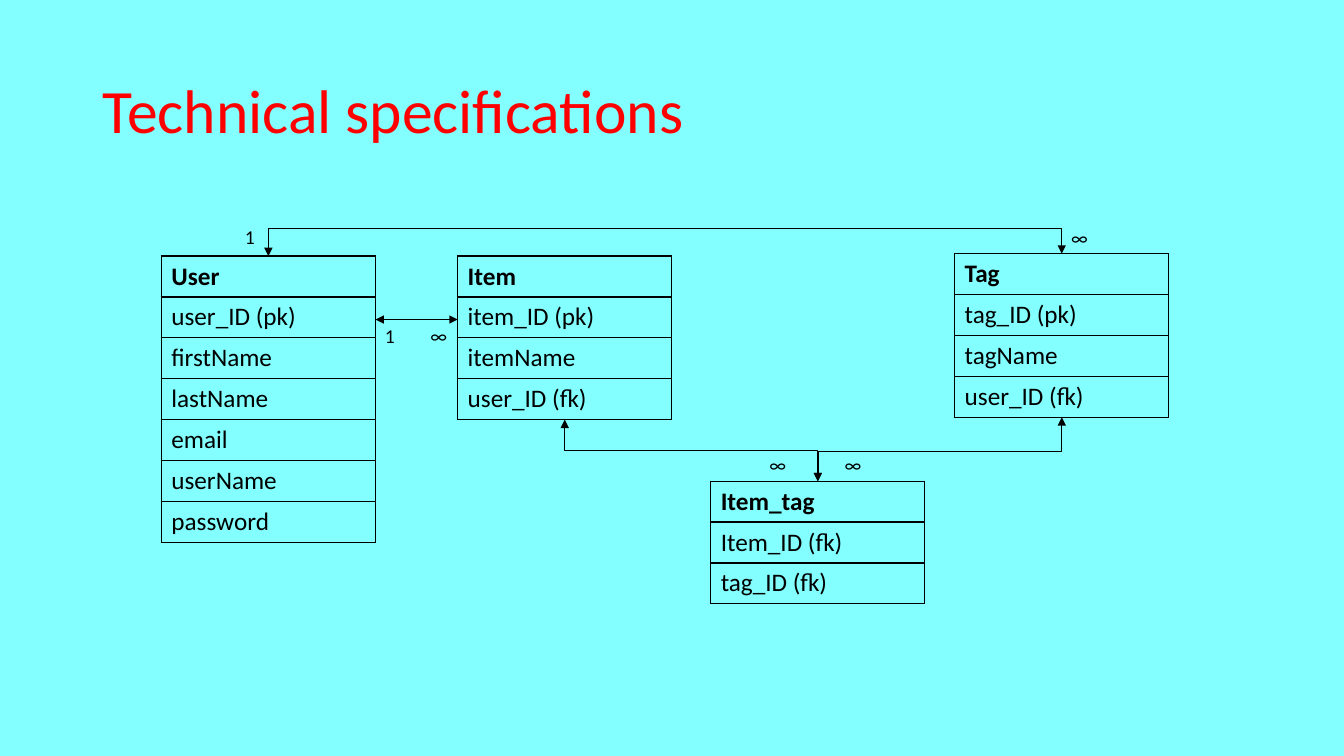
from dataclasses import dataclass

from lxml import etree
from pptx import Presentation
from pptx.dml.color import RGBColor
from pptx.enum.shapes import MSO_CONNECTOR
from pptx.enum.text import MSO_ANCHOR, MSO_AUTO_SIZE, PP_ALIGN
from pptx.oxml.ns import qn
from pptx.util import Inches, Pt

STRAIGHT, ELBOW = MSO_CONNECTOR.STRAIGHT, MSO_CONNECTOR.ELBOW
MIDDLE, LEFT = MSO_ANCHOR.MIDDLE, PP_ALIGN.LEFT
FIXED, GROW = MSO_AUTO_SIZE.NONE, MSO_AUTO_SIZE.SHAPE_TO_FIT_TEXT

SLIDE_WIDTH, SLIDE_HEIGHT = Inches(13.33), Inches(7.5)


@dataclass(frozen=True)
class Theme:
    font: str = "Calibri"
    background: str = "84FFFF"
    title: str = "FF0000"
    ink: str = "000000"
    title_size: int = 44
    field_size: int = 18
    label_size: int = 14
    border: float = 1
    arrow: float = 0.5


THEME = Theme()

# All positions are percentages of the slide's width and height.
TABLE_WIDTH, ROW_HEIGHT = 15.94, 5.41


@dataclass(frozen=True)
class Entity:
    left: float
    top: float
    rows: tuple

    @property
    def right(self):
        return self.left + TABLE_WIDTH

    @property
    def center(self):
        return self.left + TABLE_WIDTH / 2

    @property
    def bottom(self):
        return self.top + ROW_HEIGHT * len(self.rows)


USER = Entity(12, 33.87, ("User", "user_ID (pk)", "firstName", "lastName",
                          "email", "userName", "password"))
ITEM = Entity(34.05, 33.87, ("Item", "item_ID (pk)", "itemName", "user_ID (fk)"))
TAG = Entity(71.03, 33.55, ("Tag", "tag_ID (pk)", "tagName", "user_ID (fk)"))
ITEM_TAG = Entity(52.88, 63.65, ("Item_tag", "Item_ID (fk)", "tag_ID (fk)"))

# Text, left, top, width of each cardinality label
LABELS = (
    ("1\t∞", 27.9, 42.13, 6.6),
    ("∞", 56.5, 59.2, 3.08),
    ("∞", 62.1, 59.2, 3.08),
    ("∞", 78.95, 29.2, 3.08),
    ("1", 17.48, 29.07, 3.08),
)
LABEL_HEIGHT = 4.53


def across(share):
    return round(SLIDE_WIDTH * share / 100)


def down(share):
    return round(SLIDE_HEIGHT * share / 100)


def set_all(target, values):
    for name, value in values.items():
        setattr(target, name, value)


def write(paragraph, text, size, color, bold=False):
    run = paragraph.add_run()
    run.text = text
    set_all(run.font, {"name": THEME.font, "size": Pt(size), "bold": bold})
    run.font.color.rgb = RGBColor.from_string(color)


def add_title(slide, text):
    title = slide.shapes.title
    set_all(title, {"left": across(6.88), "top": down(5.33),
                    "width": across(86.25), "height": down(19.33)})
    set_all(title.text_frame, {"vertical_anchor": MIDDLE, "auto_size": FIXED,
                               "word_wrap": True})
    paragraph = title.text_frame.paragraphs[0]
    set_all(paragraph, {"alignment": LEFT, "line_spacing": 0.9})
    write(paragraph, text, THEME.title_size, THEME.title)


def border_cell(cell):
    properties = cell._tc.get_or_add_tcPr()
    for index, side in enumerate(("a:lnL", "a:lnR", "a:lnT", "a:lnB")):
        line = etree.Element(qn(side), w=str(Pt(THEME.border)))
        fill = etree.SubElement(line, qn("a:solidFill"))
        etree.SubElement(fill, qn("a:srgbClr"), val=THEME.ink)
        properties.insert(index, line)


def add_entity(slide, entity):
    count = len(entity.rows)
    table = slide.shapes.add_table(
        count, 1, across(entity.left), down(entity.top),
        across(TABLE_WIDTH), down(ROW_HEIGHT * count)).table
    set_all(table, {"first_row": False, "horz_banding": False})
    for index, text in enumerate(entity.rows):
        table.rows[index].height = down(ROW_HEIGHT)
        cell = table.cell(index, 0)
        cell.fill.background()
        border_cell(cell)
        write(cell.text_frame.paragraphs[0], text, THEME.field_size,
              THEME.ink, bold=index == 0)


def style_arrow(connector):
    connector.line.width = Pt(THEME.arrow)
    connector.line.color.rgb = RGBColor.from_string(THEME.ink)
    line = connector.line._get_or_add_ln()
    for end in ("a:headEnd", "a:tailEnd"):
        etree.SubElement(line, qn(end), type="triangle")
    etree.SubElement(connector._element.spPr, qn("a:effectLst"))


def add_straight(slide, start_x, end_x, y):
    style_arrow(slide.shapes.add_connector(
        STRAIGHT, across(start_x), down(y), across(end_x), down(y)))


def add_elbow(slide, start, end, rail):
    """Leave start vertically, run right along the rail, reach end vertically."""
    start_x, start_y = across(start[0]), down(start[1])
    end_x, end_y = across(end[0]), down(end[1])
    length, breadth = abs(end_y - start_y), end_x - start_x
    left = (start_x + end_x - length) // 2
    top = (start_y + end_y - breadth) // 2
    connector = slide.shapes.add_connector(
        ELBOW, left, top, left + length, top + breadth)
    # A quarter turn makes the outer legs vertical; flips restore direction.
    connector.rotation = 90
    frame = connector._element.spPr.find(qn("a:xfrm"))
    frame.set("flipV", "1")
    if end_y < start_y:
        frame.set("flipH", "1")
    bend = round(100000 * (down(rail) - start_y) / (end_y - start_y))
    guides = connector._element.spPr.find(qn("a:prstGeom")).find(qn("a:avLst"))
    etree.SubElement(guides, qn("a:gd"), name="adj1", fmla=f"val {bend}")
    style_arrow(connector)


def add_label(slide, text, left, top, width):
    box = slide.shapes.add_textbox(across(left), down(top), across(width),
                                   down(LABEL_HEIGHT))
    set_all(box.text_frame, {"word_wrap": True, "auto_size": GROW})
    paragraph = box.text_frame.paragraphs[0]
    write(paragraph, text, THEME.label_size, THEME.ink)
    if "\t" in text:
        stops = etree.SubElement(paragraph._p.get_or_add_pPr(), qn("a:tabLst"))
        etree.SubElement(stops, qn("a:tab"), pos=str(Inches(0.45)), algn="l")


def main():
    presentation = Presentation()
    set_all(presentation, {"slide_width": SLIDE_WIDTH,
                           "slide_height": SLIDE_HEIGHT})
    slide = presentation.slides.add_slide(presentation.slide_layouts[5])
    slide.background.fill.solid()
    slide.background.fill.fore_color.rgb = RGBColor.from_string(THEME.background)
    add_title(slide, "Technical specifications")

    # Database tables
    for entity in (USER, ITEM, TAG, ITEM_TAG):
        add_entity(slide, entity)

    # Relations
    add_straight(slide, USER.right, ITEM.left, 42.27)
    add_elbow(slide, (USER.center, USER.top), (TAG.center, TAG.top), 30.27)
    add_elbow(slide, (ITEM.center, ITEM.bottom),
              (ITEM_TAG.center, ITEM_TAG.top), 59.6)
    add_elbow(slide, (ITEM_TAG.center, ITEM_TAG.top),
              (TAG.center, TAG.bottom), 59.73)

    # Cardinalities
    for label in LABELS:
        add_label(slide, *label)

    presentation.save("out.pptx")


if __name__ == "__main__":
    main()
